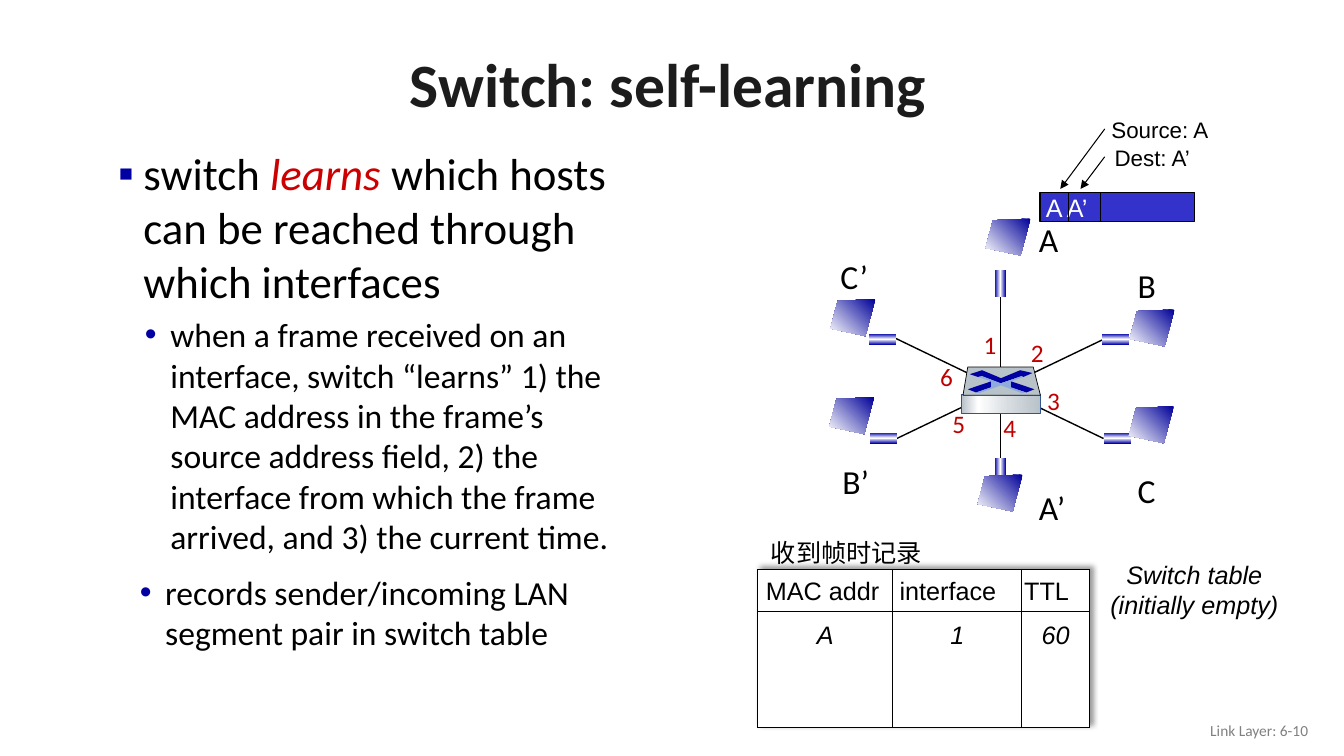
from pptx import Presentation
from pptx.dml.color import RGBColor
from pptx.enum import shapes, text
from pptx.oxml import parse_xml
from pptx.oxml.ns import qn
from pptx.util import Cm, Pt
from lxml import etree

NS = 'xmlns:a="http://schemas.openxmlformats.org/drawingml/2006/main"'
BLACK, WHITE, RED, NAVY = "000000", "FFFFFF", "C00000", "0000A3"
SCREEN = [(0, "000099"), (100, WHITE)]
PLUG = [(0, "0000A8"), (50, WHITE), (100, "0000A8")]
METAL = [(0, "B8C2C9"), (21, WHITE), (60, "D6DCE0"), (100, "B8C2C9")]
LEFT, CENTER, RIGHT = text.PP_ALIGN.LEFT, text.PP_ALIGN.CENTER, text.PP_ALIGN.RIGHT
TOP, MIDDLE = text.MSO_ANCHOR.TOP, text.MSO_ANCHOR.MIDDLE


def rgb(value):
    return RGBColor.from_string(value)


def add_run(p, words, size=18, font="Calibri", color=BLACK, bold=False, italic=False):
    r = p.add_run()
    r.text = words
    f = r.font
    f.size, f.name, f.bold, f.italic = Pt(size), font, bold, italic
    f.color.rgb = rgb(color)


def add_text(s, words, x, y, w, h=1.0, align=LEFT, anchor=TOP, **fmt):
    tf = s.shapes.add_textbox(Cm(x), Cm(y), Cm(w), Cm(h)).text_frame
    tf.word_wrap, tf.vertical_anchor = True, anchor
    for i, line in enumerate(words.split("\n")):
        p = tf.add_paragraph() if i else tf.paragraphs[0]
        p.alignment = align
        add_run(p, line, **fmt)


def paint(sp, fill, line=None, width=0.75, angle=0):
    """Fill with one colour, or with a list of gradient stops."""
    sp.shadow.inherit = False
    if isinstance(fill, str):
        sp.fill.solid()
        sp.fill.fore_color.rgb = rgb(fill)
    else:
        sp.fill.gradient()
        sp.fill.gradient_angle = angle
        stops = sp._element.spPr.find(".//" + qn("a:gsLst"))
        for old in list(stops):
            stops.remove(old)
        for pos, color in fill:
            stops.append(parse_xml(f'<a:gs {NS} pos="{pos * 1000}"><a:srgbClr val="{color}"/></a:gs>'))
    if line:
        sp.line.color.rgb, sp.line.width = rgb(line), Pt(width)
    else:
        sp.line.fill.background()


def add_rect(s, x, y, w, h, fill, **look):
    sp = s.shapes.add_shape(shapes.MSO_SHAPE.RECTANGLE, Cm(x), Cm(y), Cm(w), Cm(h))
    paint(sp, fill, **look)
    return sp


def add_outline(s, x, y, points, fill, **look):
    pts = [(Cm(x + px), Cm(y + py)) for px, py in points]
    fb = s.shapes.build_freeform(*pts[0])
    fb.add_line_segments(pts[1:], close=True)
    paint(fb.convert_to_shape(), fill, **look)


def add_line(s, x1, y1, x2, y2, width=0.75, arrow=False):
    cx = s.shapes.add_connector(shapes.MSO_CONNECTOR.STRAIGHT, Cm(x1), Cm(y1), Cm(x2), Cm(y2))
    cx.line.color.rgb, cx.line.width = rgb(BLACK), Pt(width)
    if arrow:
        etree.SubElement(cx.line._get_or_add_ln(), qn("a:tailEnd"), type="triangle")
    etree.SubElement(cx._element.spPr, qn("a:effectLst"))


def place(sp, x, y, w, h):
    sp.left, sp.top, sp.width, sp.height = Cm(x), Cm(y), Cm(w), Cm(h)


def title(s, x, y, w, h):
    place(s.shapes.title, x, y, w, h)
    tf = s.shapes.title.text_frame
    tf.vertical_anchor = MIDDLE
    p = tf.paragraphs[0]
    p.alignment, p.line_spacing = CENTER, 0.9
    add_run(p, "Switch: self-learning", size=44, color="1C1C1C", bold=True)


def bullets(s, x, y, w, h):
    body = s.placeholders[1]
    place(body, x, y, w, h)
    tf = body.text_frame
    tf.auto_size, tf.vertical_anchor = text.MSO_AUTO_SIZE.NONE, TOP
    # level, indent, space before, bullet, size, words (marked ones in red italics)
    items = [
        (0, 0.64, 0, "▪", 32, [("switch ", 0), ("learns ", 1),
         ("which hosts can be reached through which interfaces", 0)]),
        (1, 1.32, 5, "•", 24, [("when a frame received on an interface, switch “learns” 1) the MAC "
         "address in the frame’s source address field, 2) the interface from which the frame "
         "arrived, and 3) the current time.", 0)]),
        (1, 1.19, 11, "•", 24, [("records sender/incoming LAN segment pair in switch table", 0)])]
    for i, (level, indent, before, mark, size, words) in enumerate(items):
        p = tf.add_paragraph() if i else tf.paragraphs[0]
        p.level, p.space_before, p.line_spacing = level, Pt(before), 1.0
        pPr = p._p.get_or_add_pPr()
        pPr.set("marL", str(Cm(indent)))
        pPr.set("indent", str(-Cm(0.64)))
        pPr.append(parse_xml(f'<a:buClr {NS}><a:srgbClr val="{NAVY}"/></a:buClr>'))
        pPr.append(parse_xml(f'<a:buFont {NS} typeface="Arial"/>'))
        pPr.append(parse_xml(f'<a:buChar {NS} char="{mark}"/>'))
        for part, marked in words:
            add_run(p, part, size=size, color="CC0000" if marked else BLACK, italic=bool(marked))


def switch(s, x, y):
    add_rect(s, x, y + 0.69, 1.98, 0.48, METAL, line="325491", width=0.5)
    add_outline(s, x, y, [(0.03, 0.71), (0.15, 0), (1.8, 0), (1.98, 0.71)],
                "B8C2C9", line=BLACK, width=0.5)
    # Crossed arrows: upper arms, right arm, left arm, light centre
    add_outline(s, x, y, [(1.47, 0.08), (1.78, 0.15), (1.55, 0.25), (1.5, 0.23), (0.97, 0.41),
                          (0.51, 0.23), (0.41, 0.25), (0.2, 0.18), (0.51, 0.08), (0.99, 0.28)], NAVY)
    add_outline(s, x, y, [(1.24, 0.36), (1.83, 0.56), (1.63, 0.64), (1.22, 0.51)], NAVY)
    add_outline(s, x, y, [(0.74, 0.36), (0.74, 0.51), (0.36, 0.64), (0.15, 0.56)], NAVY)
    add_outline(s, x, y, [(0.41, 0.25), (0.51, 0.23), (0.99, 0.41), (1.5, 0.23), (1.55, 0.25),
                          (1.24, 0.36), (1.24, 0.51), (1.6, 0.64), (1.52, 0.66), (0.99, 0.46),
                          (0.43, 0.66), (0.36, 0.64), (0.74, 0.51), (0.74, 0.36)], "8FAADC")


def network(s, x, y):
    # Cables between opposite hosts
    for x1, y1, x2, y2 in [(4.31, 1.84, 4.31, 6.41), (1.68, 3.13, 6.91, 5.65),
                           (1.7, 5.65, 6.91, 3.15)]:
        add_line(s, x + x1, y + y1, x + x2, y + y2, width=1)
    # Hosts: label, label corner, screen corner, plug centre, plug rotation
    hosts = [("A", 5.03, 0, 3.94, 0.11, 4.31, 1.75, 0),
             ("B", 7.52, 1.15, 7.57, 2.4, 7.21, 3.15, 90),
             ("C", 7.52, 6.31, 7.55, 4.84, 7.26, 5.64, 90),
             ("A’", 5.03, 6.74, 3.74, 6.56, 4.31, 6.47, 0),
             ("B’", 0.08, 6.08, 0, 4.61, 1.36, 5.64, 90),
             ("C’", 0.03, 0.92, 0.03, 2.14, 1.34, 3.15, 90)]
    for name, lx, ly, sx, sy, px, py, turn in hosts:
        plug = add_rect(s, x + px - 0.14, y + py - 0.34, 0.28, 0.68, PLUG)
        plug.rotation = turn
        add_outline(s, x + sx, y + sy, [(1.13, 0), (0.18, 0.04), (0, 0.74), (0.88, 0.93)],
                    SCREEN, angle=225)
        add_text(s, name, x + lx, y + ly, 1.5, 1.27, size=24)
    switch(s, x + 3.34, y + 3.85)
    # Port numbers
    ports = [(3.64, 2.78), (4.83, 2.98), (5.24, 4.18), (4.14, 4.86), (2.85, 4.76), (2.54, 3.59)]
    for number, (px, py) in enumerate(ports, 1):
        add_text(s, str(number), x + px, y + py, 0.9, color=RED)


def frame(s, x, y):
    add_rect(s, x, y + 2.05, 3.89, 0.74, "3333CC", line=BLACK)
    add_text(s, "A A’", x - 0.1, y + 1.92, 2, font="Arial", color=WHITE)
    for dx in (0.71, 1.53):
        add_line(s, x + dx, y + 2.05, x + dx, y + 2.79)
    # Field labels with arrows to their fields
    for words, lx, ly, tip_x in [("Source: A", 1.55, 0, 0.51), ("Dest: A’", 1.63, 0.7, 1.02)]:
        add_text(s, words, x + lx, y + ly, 3.2, 0.94, size=16, font="Arial")
        add_line(s, x + 1.63, y + ly + 0.45, x + tip_x, y + 1.96, arrow=True)


def switch_table(s, x, y):
    widths, heights = (3.4, 3.25, 1.7), (1.07, 2.92)
    w, h = sum(widths), sum(heights)
    # Backing sheet that casts the shadow
    back = add_rect(s, x, y, w, h, WHITE, line=BLACK)
    back._element.spPr.find(qn("a:effectLst")).append(parse_xml(
        f'<a:outerShdw {NS} blurRad="50800" dist="38100" dir="18900000" rotWithShape="0">'
        '<a:srgbClr val="000000"><a:alpha val="40000"/></a:srgbClr></a:outerShdw>'))
    tbl = s.shapes.add_table(2, 3, Cm(x), Cm(y), Cm(w), Cm(h)).table
    for col, width in zip(tbl.columns, widths):
        col.width = Cm(width)
    for i, row in enumerate([("MAC addr", "interface", "TTL"), ("A", "1", "60")]):
        tbl.rows[i].height = Cm(heights[i])
        for j, words in enumerate(row):
            c = tbl.cell(i, j)
            c.fill.solid()
            c.fill.fore_color.rgb = rgb(WHITE)
            c.margin_left = Cm(0 if i else (0.2, 0.17, 0.06)[j])
            c.margin_right, c.margin_bottom = Cm(0), Cm(0)
            c.margin_top = Cm(0.25 if i else 0.2)
            p = c.text_frame.paragraphs[0]
            p.alignment = CENTER if i else LEFT
            add_run(p, words, font="Arial", italic=bool(i))
            for k, side in enumerate(("lnL", "lnR", "lnT", "lnB")):
                c._tc.get_or_add_tcPr().insert(k, parse_xml(
                    f'<a:{side} {NS} w="9525"><a:solidFill><a:srgbClr val="{BLACK}"/>'
                    f'</a:solidFill></a:{side}>'))
    # Caption and side note
    add_text(s, "收到帧时记录", x + 0.08, y - 0.94, 5.21)
    add_text(s, "Switch table\n(initially empty)", x + 8.4, y - 0.38, 5.2, 1.8,
             align=CENTER, font="Arial", italic=True)


def main():
    prs = Presentation()
    prs.slide_width, prs.slide_height = Cm(33.87), Cm(19.05)
    s = prs.slides.add_slide(prs.slide_layouts[1])
    title(s, 2.24, 0.97, 29.21, 2.49)
    bullets(s, 2.72, 3.55, 13.54, 13.5)
    network(s, 20.9, 5.4)
    frame(s, 26.21, 2.8)
    switch_table(s, 19.1, 14.35)
    add_text(s, "Link Layer: 6-10", 25.6, 17.91, 7.62, align=RIGHT, anchor=MIDDLE,
             size=11, color="808080")
    prs.save("out.pptx")


if __name__ == "__main__":
    main()
